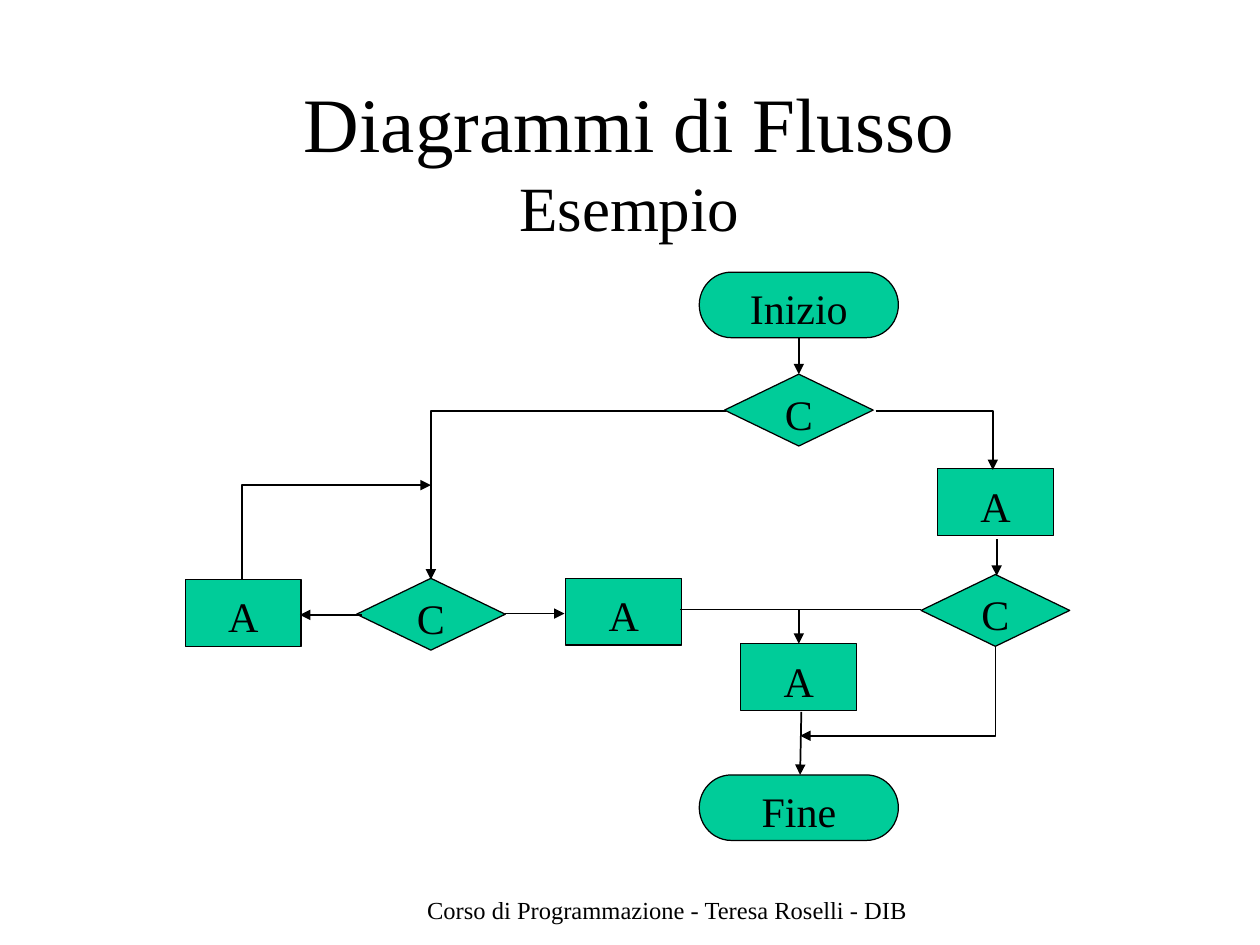
from pptx import Presentation
from pptx.dml.color import RGBColor
from pptx.enum.shapes import MSO_CONNECTOR, MSO_SHAPE
from pptx.enum.text import MSO_ANCHOR, PP_ALIGN
from pptx.oxml.ns import qn
from pptx.util import Pt
from lxml.etree import SubElement

PX = 9144  # 100 px to the inch
BLACK, GREEN = "000000", "00CC99"
FONT = "Times New Roman"

# Node kinds: preset, width, height
KINDS = {
    "terminator": (MSO_SHAPE.FLOWCHART_TERMINATOR, 158, 52),
    "decision": (MSO_SHAPE.DIAMOND, 118, 57),
    "action": (MSO_SHAPE.RECTANGLE, 92, 53),
}
NODES = [
    ("terminator", 408, 0, "Inizio"),
    ("terminator", 408, 399, "Fine"),
    ("decision", 428, 81, "C"),
    ("decision", 136, 243, "C"),
    ("decision", 584, 240, "C"),
    ("action", 441, 295, "A"),
    ("action", 597, 156, "A"),
    ("action", 302, 243, "A"),
    ("action", 0, 244, "A"),
]
# Routes that end in an arrowhead
ARROWS = [
    [(487, 52), (487, 81)],
    [(644, 212), (644, 241)],
    [(254, 271), (301, 271)],
    [(487, 268), (487, 295)],
    [(489, 349), (488, 399)],
    [(140, 272), (91, 272)],
    [(548, 110), (641, 110), (641, 157)],
    [(429, 110), (195, 110), (195, 244)],
    [(643, 297), (643, 368), (488, 368)],
    [(45, 244), (45, 169), (195, 169)],
]
JUNCTION = [(584, 268), (393, 268)]


def color(value):
    return RGBColor.from_string(value)


def emu(*lengths):
    return [length * PX for length in lengths]


def set_attributes(target, values):
    for name, value in values.items():
        setattr(target, name, value)


def write(shape, text, size, align=PP_ALIGN.CENTER, inset_top=0):
    frame = shape.text_frame
    set_attributes(frame, {
        "word_wrap": True, "vertical_anchor": MSO_ANCHOR.MIDDLE,
        "margin_left": 0, "margin_right": 0,
        "margin_top": inset_top * PX, "margin_bottom": 0,
    })
    paragraph = frame.paragraphs[0]
    paragraph.alignment = align
    run = paragraph.add_run()
    run.text = text
    set_attributes(run.font, {"name": FONT, "size": Pt(size)})
    run.font.color.rgb = color(BLACK)


def draw_line(shape, width):
    shape.line.color.rgb = color(BLACK)
    shape.line.width = Pt(width)


def add_text(slide, box, text, size, align=PP_ALIGN.CENTER):
    write(slide.shapes.add_textbox(*emu(*box)), text, size, align)


def add_node(slide, left, top, kind, text):
    preset, width, height = KINDS[kind]
    shape = slide.shapes.add_shape(preset, *emu(left, top, width, height))
    shape.shadow.inherit = False
    shape.fill.solid()
    shape.fill.fore_color.rgb = color(GREEN)
    draw_line(shape, 0.72)
    write(shape, text, 24, inset_top=5)


def add_route(slide, points, width=1, arrow=True):
    corners = [emu(*point) for point in points]
    if len(corners) == 2:
        route = slide.shapes.add_connector(
            MSO_CONNECTOR.STRAIGHT, *corners[0], *corners[1])
        draw_line(route, width)
        SubElement(route._element.spPr, qn("a:effectLst"))
    else:
        builder = slide.shapes.build_freeform(*corners[0])
        builder.add_line_segments(corners[1:], close=False)
        route = builder.convert_to_shape()
        route.shadow.inherit = False
        route.fill.background()
        draw_line(route, width)
    if arrow:
        outline = route._element.spPr.find(qn("a:ln"))
        SubElement(outline, qn("a:tailEnd"), type="triangle", w="med", len="med")


def add_heading(slide, left, top, width):
    add_text(slide, (left, top, width, 76), "Diagrammi di Flusso", 44)
    add_text(slide, (left, top + 74, width, 62), "Esempio", 36)


def add_flowchart(slide, left, top):
    for kind, x, y, text in NODES:
        add_node(slide, left + x, top + y, kind, text)

    def place(points):
        return [(left + x, top + y) for x, y in points]

    for points in ARROWS:
        add_route(slide, place(points))
    add_route(slide, place(JUNCTION), width=0.72, arrow=False)


def add_footer(slide, left, top, width):
    add_text(slide, (left, top, width, 24),
             "Corso di Programmazione - Teresa Roselli - DIB", 14, PP_ALIGN.LEFT)


def main():
    presentation = Presentation()
    presentation.slide_width, presentation.slide_height = emu(1000, 750)
    slide = presentation.slides.add_slide(presentation.slide_layouts[6])
    add_heading(slide, 240, 59, 519)
    add_flowchart(slide, 147, 216)
    add_footer(slide, 339, 710, 383)
    presentation.save("out.pptx")


if __name__ == "__main__":
    main()
